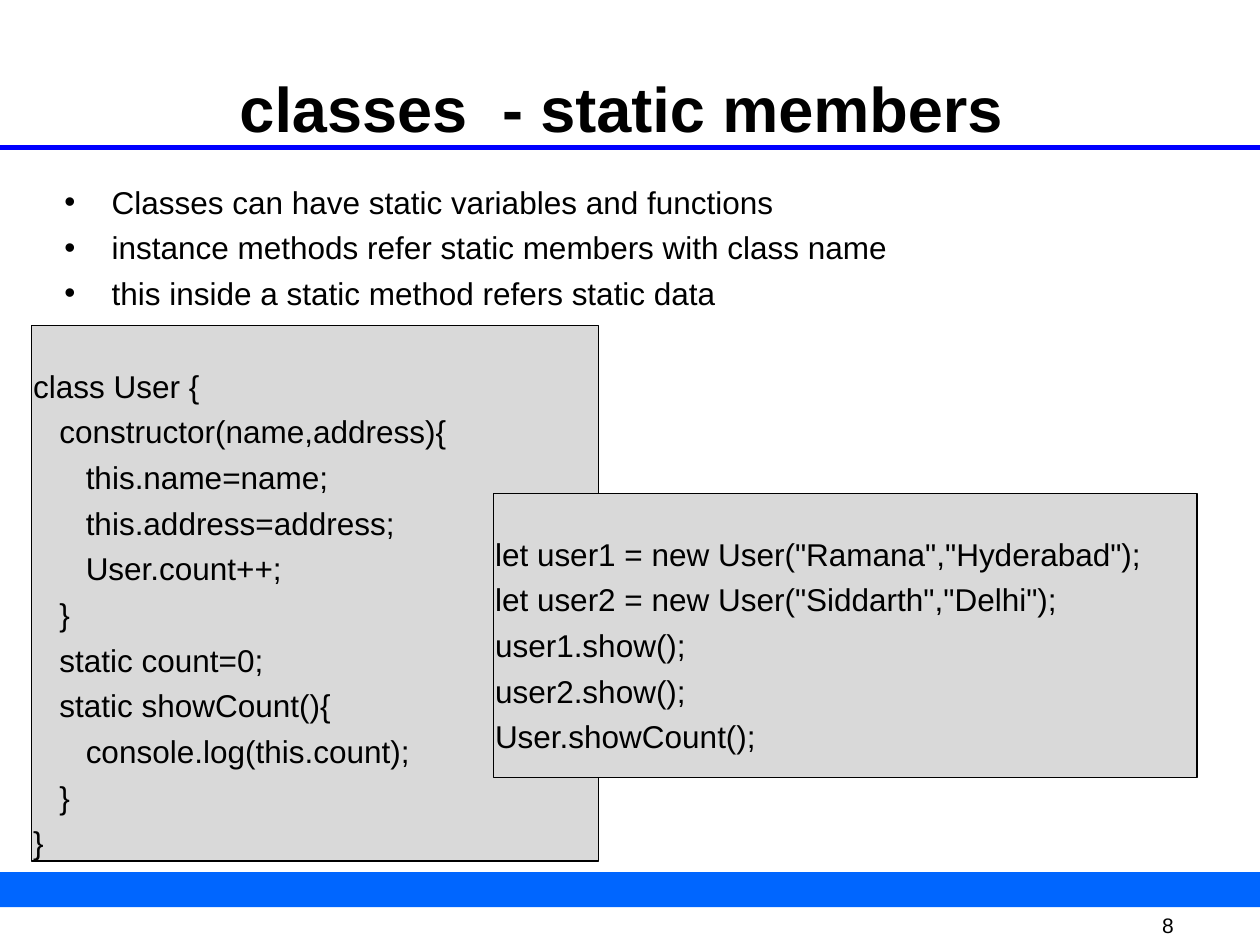
from pptx import Presentation
from pptx.dml.color import RGBColor
from pptx.enum.shapes import MSO_CONNECTOR, MSO_SHAPE
from pptx.enum.text import MSO_ANCHOR, MSO_AUTO_SIZE, PP_ALIGN
from pptx.oxml.ns import qn
from pptx.util import Cm, Pt
from lxml.etree import SubElement

BLACK = RGBColor(0x00, 0x00, 0x00)
GREY = RGBColor(0xD9, 0xD9, 0xD9)
FOOTER_BLUE = RGBColor(0x00, 0x66, 0xFF)
RULE_BLUE = RGBColor(0x00, 0x00, 0xFF)
INSET = 0.03
CODE_STEP = 0.53
BULLET_INDENT = 0.95

POINTS = [
    "Classes can have static variables and functions",
    "instance methods refer static members with class name",
    "this inside a static method refers static data",
]
USER_CLASS = [
    (0, "class User {"),
    (1, "constructor(name,address){"),
    (2, "this.name=name;"),
    (2, "this.address=address;"),
    (2, "User.count++;"),
    (1, "}"),
    (1, "static count=0;"),
    (1, "static showCount(){"),
    (2, "console.log(this.count);"),
    (1, "}"),
    (0, "}"),
]
USAGE = [
    (0, 'let user1 = new User("Ramana","Hyderabad");'),
    (0, 'let user2 = new User("Siddarth","Delhi");'),
    (0, "user1.show();"),
    (0, "user2.show();"),
    (0, "User.showCount();"),
]


def place(shape, left, top, width, height):
    shape.left, shape.top = Cm(left), Cm(top)
    shape.width, shape.height = Cm(width), Cm(height)


def set_frame(frame, top_inset=INSET, anchor=MSO_ANCHOR.TOP):
    frame.word_wrap = True
    frame.auto_size = MSO_AUTO_SIZE.NONE
    frame.vertical_anchor = anchor
    frame.margin_left = frame.margin_right = frame.margin_bottom = Cm(INSET)
    frame.margin_top = Cm(top_inset)


def format_text(paragraph, size, bold=False, align=PP_ALIGN.LEFT):
    paragraph.alignment = align
    for run in paragraph.runs:
        run.font.name = "Arial"
        run.font.size = Pt(size)
        run.font.bold = bold
        run.font.color.rgb = BLACK


def set_indent(paragraph, left, first=0):
    properties = paragraph._p.get_or_add_pPr()
    properties.set("marL", str(Cm(left)))
    properties.set("indent", str(Cm(first)))
    return properties


def fill_lines(frame, lines):
    frame.text = "\n".join(lines)
    for index, paragraph in enumerate(frame.paragraphs):
        paragraph.space_before = Pt(4.5 if index else 0)
        format_text(paragraph, 18)


def add_title(slide, text):
    title = slide.shapes.title
    place(title, 1.7, 1.22, 22, 2.44)
    set_frame(title.text_frame, 0.18)
    title.text_frame.text = text
    heading = title.text_frame.paragraphs[0]
    heading.space_before = Pt(0)
    format_text(heading, 36, True, PP_ALIGN.CENTER)


def add_points(slide, points):
    body = slide.placeholders[1]
    place(body, 1.27, 3.6, 22.43, 4.88)
    set_frame(body.text_frame, 0.08)
    fill_lines(body.text_frame, points)
    for paragraph in body.text_frame.paragraphs:
        properties = set_indent(paragraph, BULLET_INDENT, -BULLET_INDENT)
        SubElement(properties, qn("a:buFont"), typeface="Arial")
        SubElement(properties, qn("a:buChar"), char="•")


def add_panel(slide, left, top, width, height, fill):
    panel = slide.shapes.add_shape(
        MSO_SHAPE.RECTANGLE, Cm(left), Cm(top), Cm(width), Cm(height))
    panel.shadow.inherit = False
    panel.fill.solid()
    panel.fill.fore_color.rgb = fill
    panel.line.fill.background()
    return panel


def add_code(slide, left, top, width, height, code):
    panel = add_panel(slide, left, top, width, height, GREY)
    panel.line.color.rgb = BLACK
    panel.line.width = Pt(0.75)
    set_frame(panel.text_frame, 0.83)
    fill_lines(panel.text_frame, [text for _, text in code])
    for paragraph, (level, _) in zip(panel.text_frame.paragraphs, code):
        set_indent(paragraph, level * CODE_STEP)


def add_rule(slide, top, width):
    rule = slide.shapes.add_connector(
        MSO_CONNECTOR.STRAIGHT, Cm(0), Cm(top), Cm(width), Cm(top))
    rule.line.color.rgb = RULE_BLUE
    rule.line.width = Pt(3)
    SubElement(rule._element.spPr, qn("a:effectLst"))


def add_page_number(slide, number):
    page = slide.shapes.add_textbox(Cm(23.4), Cm(18.42), Cm(1.57), Cm(0.48))
    set_frame(page.text_frame, anchor=MSO_ANCHOR.MIDDLE)
    page.text_frame.text = number
    set_indent(page.text_frame.paragraphs[0], 0)
    page.text_frame.margin_left = Cm(0.03)
    format_text(page.text_frame.paragraphs[0], 12)


def main():
    deck = Presentation()
    deck.slide_width, deck.slide_height = Cm(25.4), Cm(19.05)
    slide = deck.slides.add_slide(deck.slide_layouts[1])
    add_page_number(slide, "8")
    add_panel(slide, 0, 17.58, 25.4, 0.71, FOOTER_BLUE)
    add_rule(slide, 2.97, 25.4)
    add_title(slide, "classes  - static members ")
    add_code(slide, 0.64, 6.56, 11.43, 10.8, USER_CLASS)
    add_code(slide, 9.95, 9.95, 14.18, 5.72, USAGE)
    add_points(slide, POINTS)
    deck.save("out.pptx")


main()
